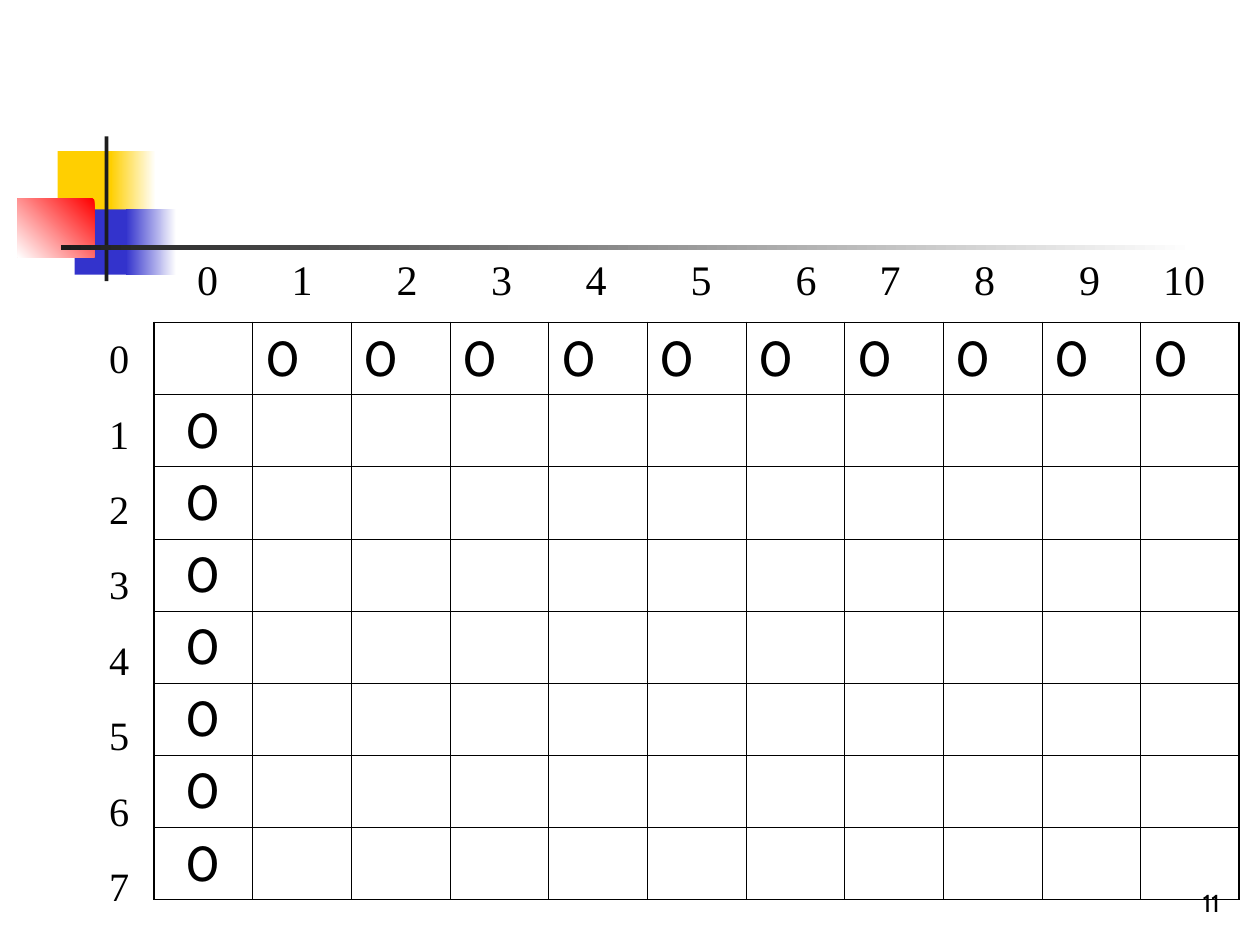
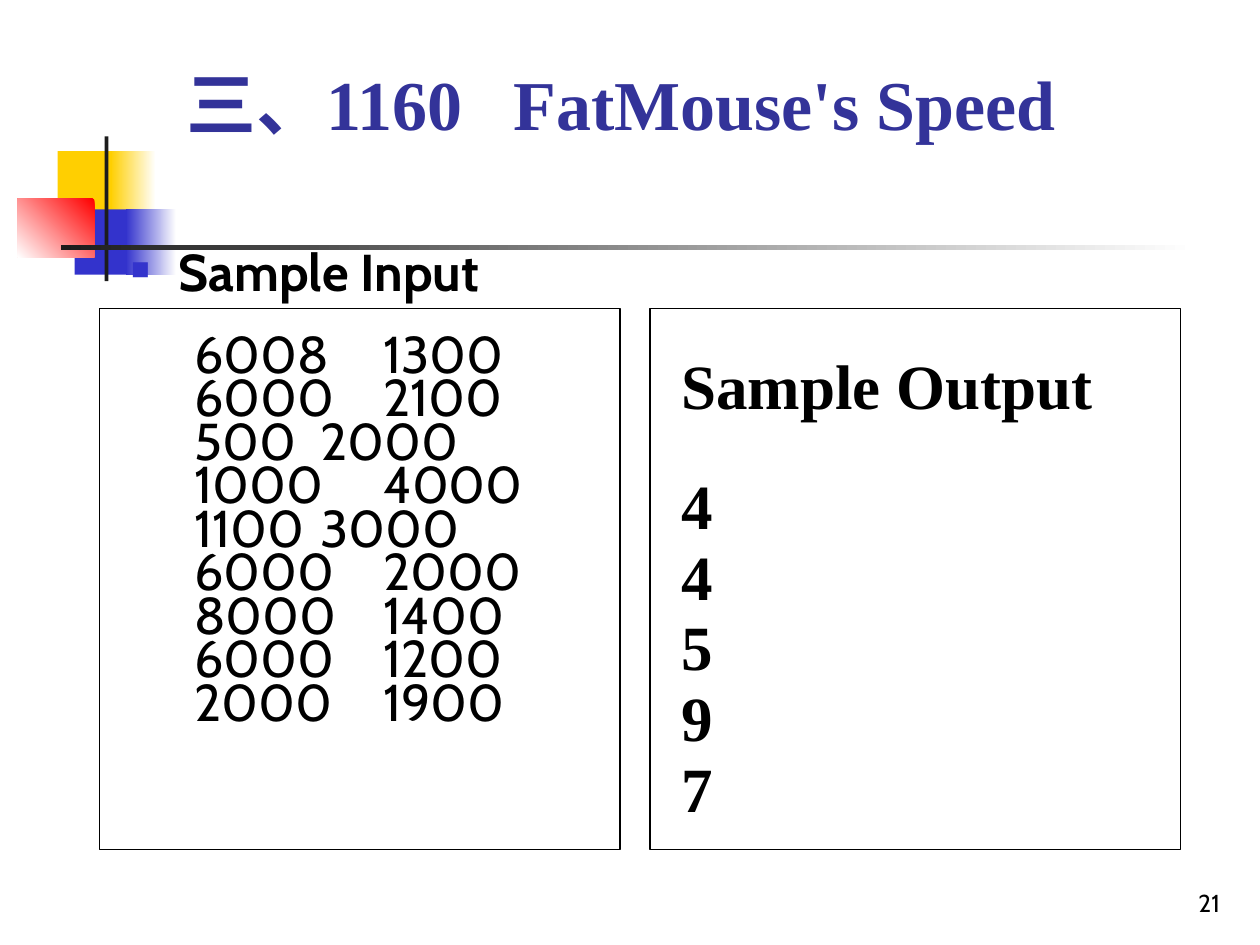
from lxml import etree
from pptx import Presentation
from pptx.dml.color import RGBColor
from pptx.enum.shapes import MSO_SHAPE
from pptx.enum.text import MSO_ANCHOR, PP_ALIGN
from pptx.oxml.ns import qn
from pptx.util import Pt

RECTANGLE = MSO_SHAPE.RECTANGLE
CENTER, LEFT, RIGHT = PP_ALIGN.CENTER, PP_ALIGN.LEFT, PP_ALIGN.RIGHT
TOP, MIDDLE, BOTTOM = MSO_ANCHOR.TOP, MSO_ANCHOR.MIDDLE, MSO_ANCHOR.BOTTOM

COLORS = {"text": "000000", "title": "333399", "yellow": "FFCF01", "blue": "3333CC",
          "red": "FF0000", "white": "FFFFFF", "bar": "1C1C1C"}
SANS, SERIF = "Cabin", "Times New Roman"

# Left, top, width, height, colours (two make a gradient), gradient angle
ORNAMENT = [
    (33, 86.4, 34.6, 37.4, ("yellow",), 0),
    (63.2, 86.4, 25.8, 37.4, ("white", "yellow"), 180),
    (42.6, 119.6, 33, 37.4, ("blue",), 0),
    (72, 119.6, 28.8, 37.4, ("white", "blue"), 180),
    (10, 113.7, 44, 33.2, ("red", "white"), 225),
    (59.8, 77.9, 2.2, 82.8, ("bar",), 0),
    (34.8, 140.2, 648, 2.4, ("white", "bar"), 180),
]

COLUMN_LABELS = [str(number) for number in range(11)]
COLUMN_TABS = (54, 114, 168, 222, 282, 342, 390, 444, 504, 552)
ROW_LABELS = [str(number) for number in range(8)]
BASE_VALUE = "0"
GRID_LEFT, GRID_TOP, CELL_WIDTH, CELL_HEIGHT = 88, 184.3, 56.4, 41.2
OUTER_LINE, INNER_LINE = 1.08, 0.45

TITLE = "三、1160\tFatMouse's Speed"
INPUT_HEADING = "Sample Input"
INPUT_ROWS = [(6008, 1300), (6000, 2100), (500, 2000), (1000, 4000), (1100, 3000),
              (6000, 2000), (8000, 1400), (6000, 1200), (2000, 1900)]
OUTPUT_LINES = ["Sample Output", "4", "4", "5", "9", "7"]
FRAMES = [(56.9, 176.4, 297.4, 308.9), (371.5, 176.4, 303.1, 308.9)]


def points(*lengths):
    return [Pt(length) for length in lengths]


def color(name):
    return RGBColor.from_string(COLORS[name])


def add_child(parent, tag, **attributes):
    child = etree.SubElement(parent, qn(tag))
    for name, value in attributes.items():
        child.set(name, str(value))
    return child


def set_tabs(para, stops):
    tabs = add_child(para._p.get_or_add_pPr(), "a:tabLst")
    for stop in stops:
        add_child(tabs, "a:tab", pos=int(Pt(stop)), algn="l")


def set_indent(para, margin, first_line):
    properties = para._p.get_or_add_pPr()
    properties.set("marL", str(int(Pt(margin))))
    properties.set("indent", str(int(Pt(first_line))))


def set_bullet(para):
    properties = para._p.get_or_add_pPr()
    add_child(add_child(properties, "a:buClr"), "a:srgbClr", val=COLORS["blue"])
    add_child(properties, "a:buSzPct", val=60000)
    add_child(properties, "a:buFont", typeface="Arial")
    add_child(properties, "a:buChar", char="■")


def style(para, size, font, bold=False, tint="text", align=LEFT):
    para.alignment = align
    for span in para.runs:
        span.font.size = Pt(size)
        span.font.name = font
        span.font.bold = bold
        span.font.color.rgb = color(tint)


def fill_frame(frame, lines, anchor=TOP):
    frame.word_wrap = True
    frame.vertical_anchor = anchor
    frame.text = "\n".join(lines)
    return frame.paragraphs


def add_text(page, area, lines, anchor=TOP):
    box = page.shapes.add_textbox(*points(*area))
    return box, fill_frame(box.text_frame, lines, anchor)


def place(placeholder, area):
    placeholder.left, placeholder.top, placeholder.width, placeholder.height = points(*area)


def add_ornament(deck, page):
    """Draw the corner ornament and move it to the slide master."""
    for left, top, width, height, tints, angle in ORNAMENT:
        shape = page.shapes.add_shape(RECTANGLE, *points(left, top, width, height))
        shape.shadow.inherit = False
        shape.line.fill.background()
        if len(tints) == 1:
            shape.fill.solid()
            shape.fill.fore_color.rgb = color(tints[0])
        else:
            shape.fill.gradient()
            shape.fill.gradient_angle = angle
            for stop, tint in zip(shape.fill.gradient_stops, tints):
                stop.color.rgb = color(tint)
        deck.slide_master.shapes.element.append(shape.element)


def add_page_number(page, number):
    _, paras = add_text(page, (554.4, 491.8, 149.8, 36), [str(number)], BOTTOM)
    style(paras[0], 14, SANS, align=RIGHT)


def set_borders(cell, outer_sides):
    """Draw the four borders, thicker on the outer edge of the table."""
    properties = cell._tc.get_or_add_tcPr()
    for side in "LRTB":
        weight = OUTER_LINE if side in outer_sides else INNER_LINE
        line = add_child(properties, "a:ln" + side, w=int(Pt(weight)))
        add_child(add_child(line, "a:solidFill"), "a:srgbClr", val=COLORS["text"])
    cell.fill.background()


def add_grid(page):
    rows, columns = len(ROW_LABELS), len(COLUMN_LABELS)
    area = (GRID_LEFT, GRID_TOP, columns * CELL_WIDTH, rows * CELL_HEIGHT)
    table = page.shapes.add_table(rows, columns, *points(*area)).table
    table.first_row = table.horz_banding = False
    for column in table.columns:
        column.width = Pt(CELL_WIDTH)
    for r, row in enumerate(table.rows):
        row.height = Pt(CELL_HEIGHT)
        for c, cell in enumerate(row.cells):
            edges = {"L": c == 0, "R": c == columns - 1, "T": r == 0, "B": r == rows - 1}
            set_borders(cell, [side for side, outer in edges.items() if outer])
            if (r == 0) != (c == 0):
                cell.text = BASE_VALUE
                style(cell.text_frame.paragraphs[0], 28, SANS, align=CENTER if c == 0 else LEFT)


def build_grid_page(page):
    add_grid(page)
    box, paras = add_text(page, (99.4, 141.5, 598.3, 36), ["\t".join(COLUMN_LABELS)])
    box.text_frame.margin_left = Pt(13.2)
    set_tabs(paras[0], COLUMN_TABS)
    style(paras[0], 24, SERIF)
    _, paras = add_text(page, (42.5, 187, 51.1, 328.3), ROW_LABELS)
    for index, para in enumerate(paras):
        style(para, 23, SERIF, align=CENTER)
        para.space_before = Pt(15.5 if index else 0)
    add_page_number(page, 11)


def build_sample_page(page):
    for area in FRAMES:
        frame = page.shapes.add_shape(RECTANGLE, *points(*area))
        frame.shadow.inherit = False
        frame.fill.background()
        frame.line.color.rgb = color("text")
        frame.line.width = Pt(0.75)

    title, body = page.placeholders
    place(title, (99.4, 30, 527, 57.6))
    heading = fill_frame(title.text_frame, [TITLE], MIDDLE)[0]
    set_tabs(heading, [187])
    style(heading, 40, SERIF, True, "title")

    place(body, (67.7, 143, 263.5, 297.4))
    rows = [f"\t{weight}\t{speed}" for weight, speed in INPUT_ROWS]
    for index, para in enumerate(fill_frame(body.text_frame, [INPUT_HEADING] + rows)):
        if index == 0:
            set_indent(para, 27, -27)
            set_bullet(para)
        else:
            set_indent(para, 0, 0)
            add_child(para._p.get_or_add_pPr(), "a:buNone")
            set_tabs(para, (27, 126))
        style(para, 29.6, SANS, bold=index == 0)
        para.line_spacing = 0.7
        para.space_before = Pt(22 if index == 1 else 0)

    _, paras = add_text(page, (382.3, 206.5, 280.8, 262), OUTPUT_LINES)
    for index, para in enumerate(paras):
        style(para, 36, SERIF, bold=True)
        para.line_spacing = 0.7
        para.space_before = Pt({0: 0, 1: 38}.get(index, 10.2))
    add_page_number(page, 21)


def main():
    deck = Presentation()
    deck.slide_width, deck.slide_height = points(720, 540)
    grid_page = deck.slides.add_slide(deck.slide_layouts[6])
    sample_page = deck.slides.add_slide(deck.slide_layouts[1])
    add_ornament(deck, grid_page)
    build_grid_page(grid_page)
    build_sample_page(sample_page)
    deck.save("out.pptx")


if __name__ == "__main__":
    main()
